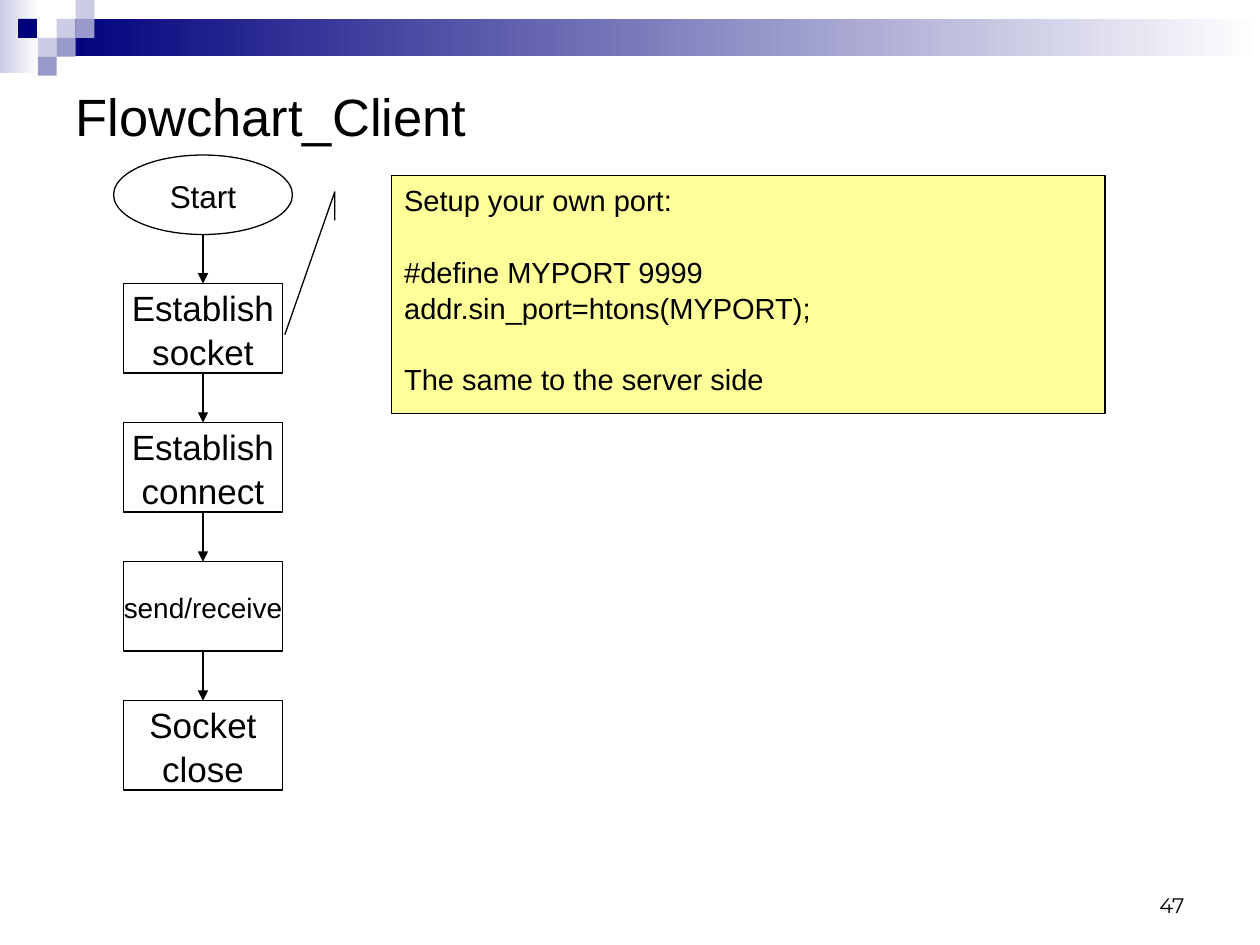
from lxml.etree import SubElement
from pptx import Presentation
from pptx.dml.color import RGBColor
from pptx.enum.shapes import MSO_CONNECTOR, MSO_SHAPE
from pptx.enum.text import MSO_ANCHOR, PP_ALIGN
from pptx.oxml.ns import qn
from pptx.util import Pt

BLACK = RGBColor(0x00, 0x00, 0x00)
WHITE = RGBColor(0xFF, 0xFF, 0xFF)
NAVY = RGBColor(0x00, 0x00, 0x7D)
LAVENDER = RGBColor(0xCC, 0xCC, 0xE6)
PERIWINKLE = RGBColor(0x99, 0x99, 0xCC)
YELLOW = RGBColor(0xFF, 0xFF, 0x99)

TILE = 10.8
CENTER = 116
STEP_WIDTH, STEP_HEIGHT, STEP_PITCH = 90.7, 51, 79.45
FIRST_STEP = 162.1
START_TOP, START_HEIGHT = 88.6, 45.4


class SlideBuilder:
    font = "Arial"
    line_width = 0.75
    line_spacing = 1.04

    def __init__(self, slide):
        self.slide = slide

    def fill_text(self, frame, lines, size, align=PP_ALIGN.LEFT,
                  anchor=MSO_ANCHOR.MIDDLE, wrap=True, font=None):
        """Add one paragraph per (text, space before) pair."""
        frame.word_wrap = wrap
        frame.vertical_anchor = anchor
        for index, (text, gap) in enumerate(lines):
            paragraph = frame.add_paragraph() if index else frame.paragraphs[0]
            paragraph.alignment = align
            paragraph.line_spacing = self.line_spacing
            paragraph.space_before = Pt(gap)
            run = paragraph.add_run()
            run.text = text
            run.font.name = font or self.font
            run.font.size = Pt(size)
            run.font.color.rgb = BLACK

    def shape(self, preset, box, fill, outlined=True):
        shape = self.slide.shapes.add_shape(preset, *map(Pt, box))
        shape.shadow.inherit = False
        shape.fill.solid()
        shape.fill.fore_color.rgb = fill
        if outlined:
            shape.line.color.rgb = BLACK
            shape.line.width = Pt(self.line_width)
        else:
            shape.line.fill.background()
        return shape

    def gradient_band(self, box, start_color):
        band = self.shape(MSO_SHAPE.RECTANGLE, box, start_color, outlined=False)
        band.fill.gradient()
        band.fill.gradient_angle = 0
        for stop, color, position in zip(band.fill.gradient_stops,
                                         (start_color, WHITE), (0, 1)):
            stop.color.rgb = color
            stop.position = position

    def tile(self, left, top, color):
        self.shape(MSO_SHAPE.RECTANGLE, (left, top, TILE, TILE), color, outlined=False)

    def title(self, text):
        title = self.slide.shapes.title
        title.left, title.top, title.width, title.height = map(Pt, (36, 36, 648, 58.3))
        self.fill_text(title.text_frame, [(text, 0)], 30)

    def node(self, preset, box, lines, size):
        node = self.shape(preset, box, WHITE)
        self.fill_text(node.text_frame, [(line, 0) for line in lines], size,
                       PP_ALIGN.CENTER, wrap=False)

    def arrow_down(self, top, bottom):
        arrow = self.slide.shapes.add_connector(
            MSO_CONNECTOR.STRAIGHT, *map(Pt, (CENTER, top, CENTER, bottom)))
        arrow.line.color.rgb = BLACK
        arrow.line.width = Pt(self.line_width)
        properties = arrow._element.spPr
        SubElement(properties.find(qn("a:ln")), qn("a:tailEnd"), type="triangle")
        SubElement(properties, qn("a:effectLst"))

    def callout(self, box, lines, size, adjustments):
        callout = self.shape(MSO_SHAPE.LINE_CALLOUT_2, box, YELLOW)
        for index, value in enumerate(adjustments):
            callout.adjustments[index] = value
        self.fill_text(callout.text_frame, lines, size, anchor=MSO_ANCHOR.TOP)

    def page_number(self, number):
        label = self.slide.shapes.add_textbox(*map(Pt, (516, 492, 168, 36)))
        self.fill_text(label.text_frame, [(number, 0)], 12, PP_ALIGN.RIGHT,
                       MSO_ANCHOR.BOTTOM, font="Montserrat")


def add_header(builder):
    builder.gradient_band((0, 0, 22.3, 41.8), LAVENDER)
    builder.gradient_band((32.4, TILE, 687.6, 21.3), NAVY)
    for column, row, color in ((3, 1, LAVENDER), (4, 0, LAVENDER),
                               (4, 1, PERIWINKLE), (2, 2, LAVENDER),
                               (3, 2, PERIWINKLE), (2, 3, PERIWINKLE)):
        builder.tile(column * TILE, row * TILE, color)
    builder.tile(10.3, TILE, NAVY)


def add_flowchart(builder):
    builder.node(MSO_SHAPE.OVAL, (CENTER - 51.1, START_TOP, 102.2, START_HEIGHT),
                 ["Start"], 18)
    steps = ((["Establish", "socket"], 20), (["Establish", "connect"], 20),
             (["send/receive"], 16), (["Socket", "close"], 20))
    previous_bottom = START_TOP + START_HEIGHT
    for index, (lines, size) in enumerate(steps):
        top = FIRST_STEP + index * STEP_PITCH
        builder.node(MSO_SHAPE.FLOWCHART_PROCESS,
                     (CENTER - STEP_WIDTH / 2, top, STEP_WIDTH, STEP_HEIGHT),
                     lines, size)
        builder.arrow_down(previous_bottom, top)
        previous_bottom = top + STEP_HEIGHT


def main():
    presentation = Presentation()
    presentation.slide_width, presentation.slide_height = Pt(720), Pt(540)
    builder = SlideBuilder(presentation.slides.add_slide(presentation.slide_layouts[5]))
    add_header(builder)
    builder.title("Flowchart_Client")
    add_flowchart(builder)
    builder.callout(
        (223.9, 100.1, 407.5, 136.1),
        [("Setup your own port:", 0), ("#define MYPORT 9999", 20),
         ("addr.sin_port=htons(MYPORT);", 0), ("The same to the server side", 20)],
        16.6, (0.19, -0.08, 0.07, -0.08, 0.67, -0.15))
    builder.page_number("47")
    presentation.save("out.pptx")


if __name__ == "__main__":
    main()
